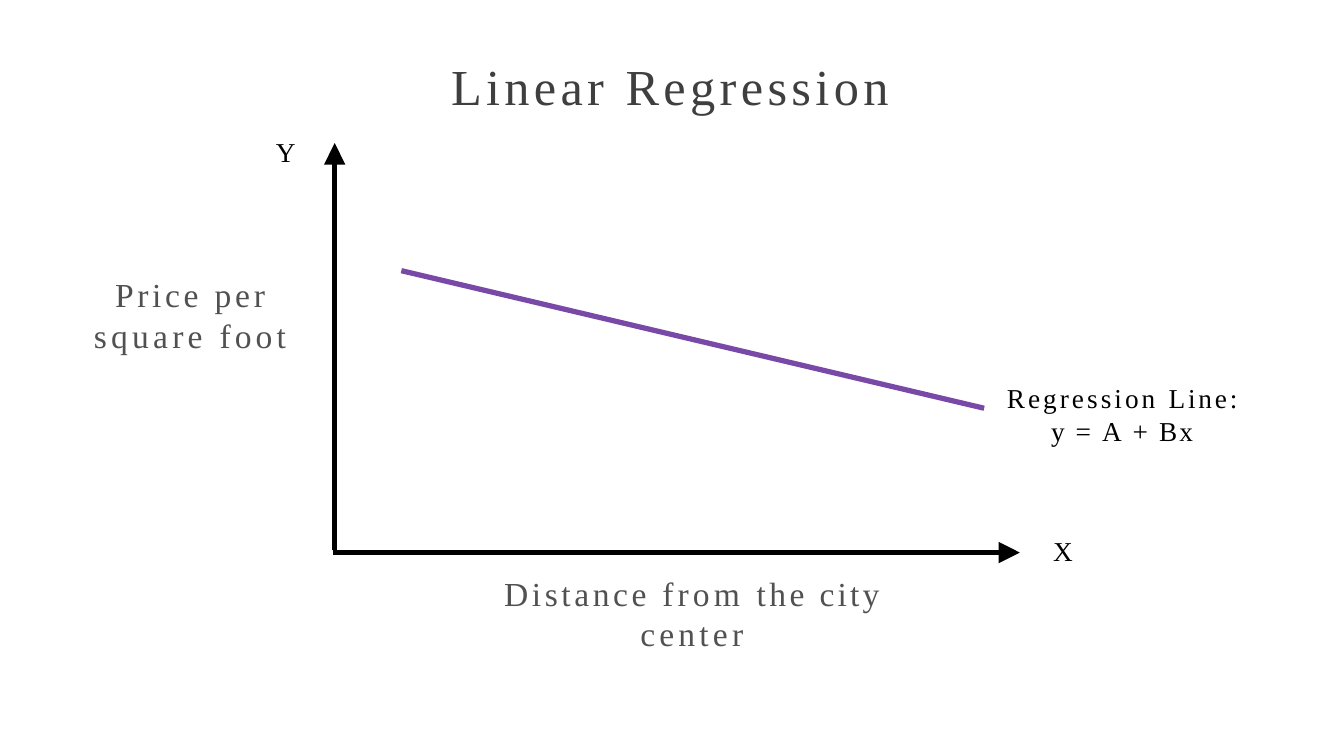
from lxml import etree
from pptx import Presentation
from pptx.dml.color import RGBColor
from pptx.enum.shapes import MSO_CONNECTOR
from pptx.enum.text import PP_ALIGN
from pptx.oxml.ns import qn
from pptx.util import Pt

STRAIGHT = MSO_CONNECTOR.STRAIGHT
CENTER = PP_ALIGN.CENTER
LEFT = PP_ALIGN.LEFT

BLACK = "000000"
TITLE_GRAY = "3F3F3F"
LABEL_GRAY = "515151"
PURPLE = "7949A8"


def color(hex_value):
    return RGBColor.from_string(hex_value)


class RegressionSlide:
    font_name = "Times New Roman"
    line_width = 5
    head_half_width = 10.2

    def __init__(self, presentation):
        self.slide = presentation.slides.add_slide(presentation.slide_layouts[6])

    def line(self, start, end, stroke):
        connector = self.slide.shapes.add_connector(
            STRAIGHT, *(Pt(value) for value in (*start, *end))
        )
        connector.line.color.rgb = color(stroke)
        connector.line.width = Pt(self.line_width)
        etree.SubElement(connector._element.spPr, qn("a:effectLst"))

    def arrowhead(self, base, tip, fill):
        (base_x, base_y), (tip_x, tip_y) = base, tip
        half = self.head_half_width
        side_x, side_y = (half, 0) if base_x == tip_x else (0, half)
        builder = self.slide.shapes.build_freeform(
            Pt(base_x + side_x), Pt(base_y + side_y)
        )
        builder.add_line_segments(
            [(Pt(tip_x), Pt(tip_y)), (Pt(base_x - side_x), Pt(base_y - side_y))]
        )
        head = builder.convert_to_shape()
        head.shadow.inherit = False
        head.fill.solid()
        head.fill.fore_color.rgb = color(fill)
        head.line.fill.background()

    def text(self, left, top, width, height, lines, size, fill, align=CENTER):
        box = self.slide.shapes.add_textbox(Pt(left), Pt(top), Pt(width), Pt(height))
        frame = box.text_frame
        frame.word_wrap = True
        frame.margin_left = frame.margin_right = 0
        frame.margin_top = frame.margin_bottom = 0
        for index, words in enumerate(lines):
            paragraph = frame.add_paragraph() if index else frame.paragraphs[0]
            paragraph.alignment = align
            paragraph.font.name = self.font_name
            paragraph.font.size = Pt(size)
            paragraph.font.color.rgb = color(fill)
            for word, tracking in words:
                run = paragraph.add_run()
                run.text = word
                run._r.get_or_add_rPr().set("spc", str(round(tracking * 100)))


def main():
    presentation = Presentation()
    presentation.slide_width = Pt(1280.16)
    presentation.slide_height = Pt(720)
    page = RegressionSlide(presentation)

    origin_x, origin_y = 318.8, 526.3
    axis_x_base, axis_y_base = (951.2, origin_y), (origin_x, 156.8)
    page.line((316.8, origin_y), (953.4, origin_y), BLACK)
    page.arrowhead(axis_x_base, (971.4, origin_y), BLACK)
    page.line((origin_x, 524.2), (origin_x, 154.2), BLACK)
    page.arrowhead(axis_y_base, (origin_x, 136.2), BLACK)
    page.line((937.4, 388.8), (382.3, 257.8), PURPLE)

    page.text(429.8, 52.6, 430, 58,
              [[("Linear ", 4.1), ("Regression", 4.2)]], 48, TITLE_GRAY, LEFT)
    page.text(262.8, 129.2, 30, 31, [[("Y", -0.3)]], 26, BLACK, LEFT)
    page.text(1003, 509.2, 30, 31, [[("X", 0.1)]], 26, BLACK, LEFT)
    page.text(84.5, 261.2, 193, 76,
              [[("Price ", 3.5), ("per", 3.6)],
               [("square ", 4), ("foot", 3.9)]], 32, LABEL_GRAY)
    page.text(473, 545.4, 372, 76,
              [[("Distance ", 3.4), ("from ", 3.9), ("the ", 3.2), ("city", 3)],
               [("center", 4)]], 32, LABEL_GRAY)
    page.text(957.9, 363, 222, 62,
              [[("Regression ", 2.9), ("Line:", 2.7)],
               [("y ", 1.8), ("= ", 2), ("A ", 2.6), ("+ ", 2), ("Bx", 2.1)]],
              26, BLACK)

    presentation.save("out.pptx")


if __name__ == "__main__":
    main()
